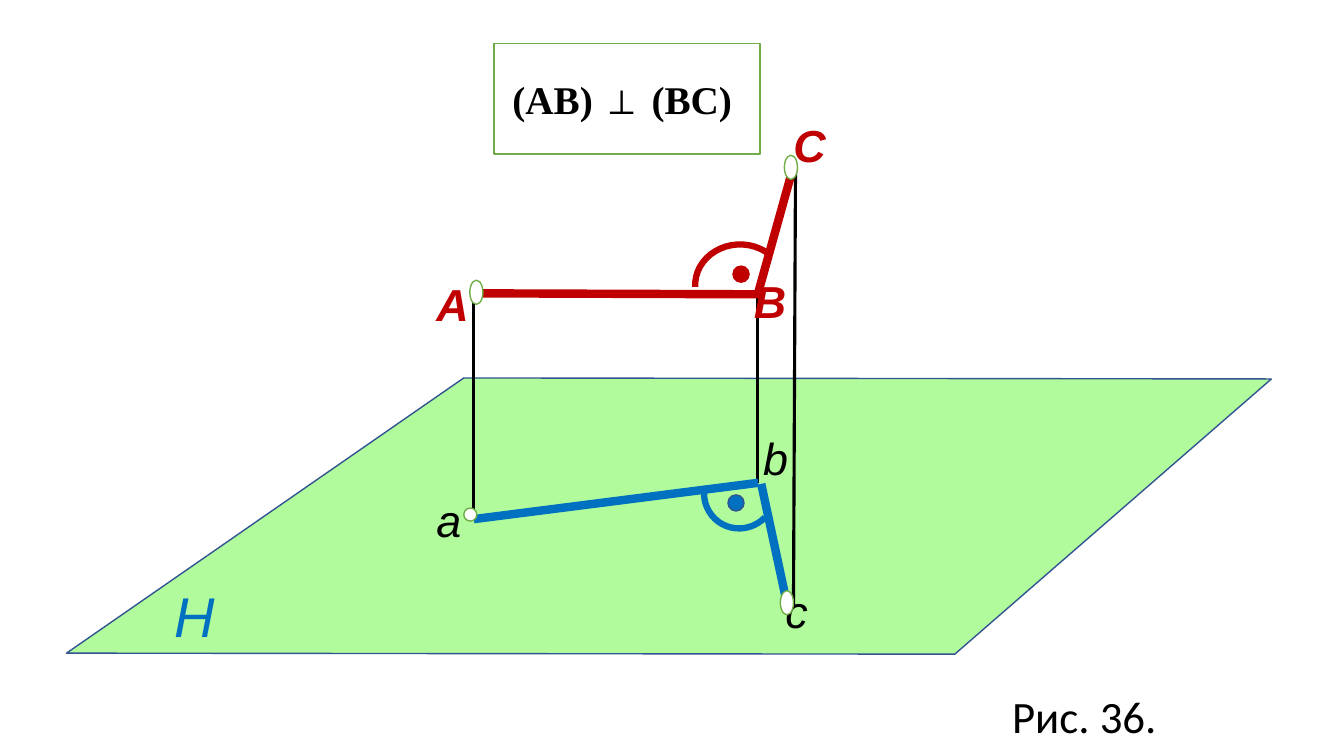
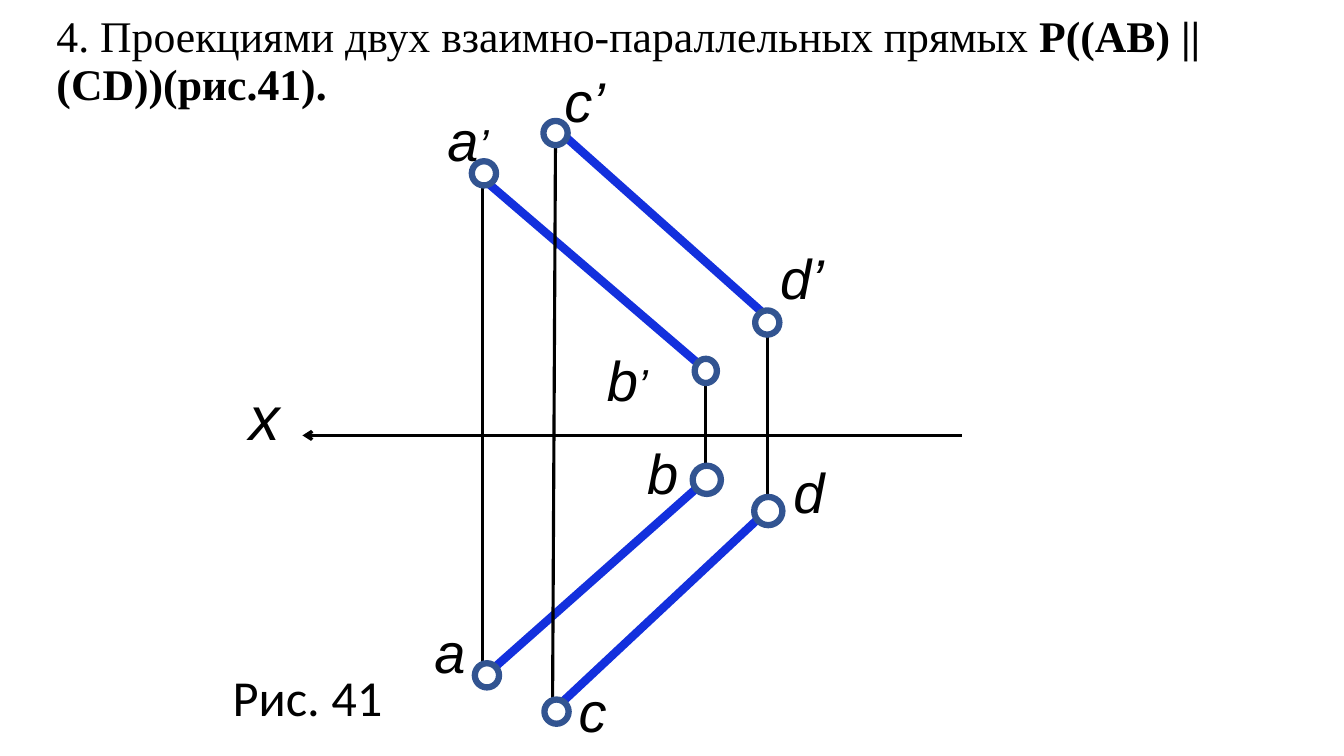
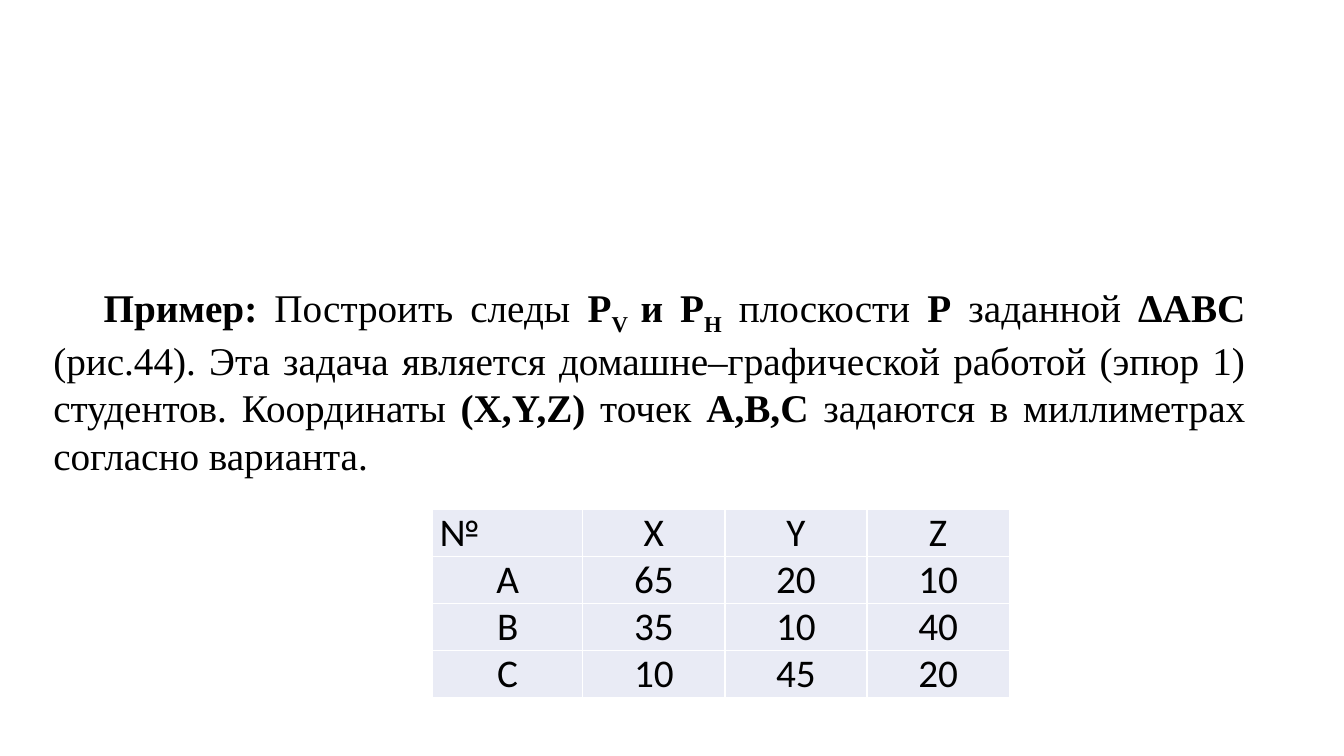
import pptx
import pptx.dml.color
import pptx.enum.shapes
import pptx.enum.text
import pptx.oxml
import pptx.oxml.ns
import pptx.util
from dataclasses import dataclass
from typing import Any

Inches = pptx.util.Inches
Pt = pptx.util.Pt
RGBColor = pptx.dml.color.RGBColor
SHAPE = pptx.enum.shapes.MSO_SHAPE
ALIGN = pptx.enum.text.PP_ALIGN
ANCHOR = pptx.enum.text.MSO_ANCHOR

BLACK = RGBColor(0x00, 0x00, 0x00)
WHITE = RGBColor(0xFF, 0xFF, 0xFF)
RED = RGBColor(0xC0, 0x00, 0x00)
BLUE = RGBColor(0x00, 0x70, 0xC0)
ROYAL = RGBColor(0x13, 0x30, 0xDD)
NAVY = RGBColor(0x32, 0x54, 0x91)
LEAF = RGBColor(0x70, 0xAD, 0x47)
MINT = RGBColor(0xB1, 0xFB, 0x9D)
PALE = RGBColor(0xE9, 0xEB, 0xF5)

SERIF = "Times New Roman"
SANS = "Calibri"
LETTER = "Arial"
THIN = 2.25
THICK = 6


def style_run(run, size, font, color=BLACK, bold=False, italic=False):
    """Apply size, face, colour and weight to a run."""
    run.font.size = Pt(size)
    run.font.name = font
    run.font.color.rgb = color
    run.font.bold = bold
    run.font.italic = italic


def add_runs(paragraph, parts, size):
    """Fill a serif paragraph with (text, bold, baseline) parts."""
    for text, bold, baseline in parts:
        run = paragraph.add_run()
        run.text = text
        style_run(run, size, SERIF, bold=bold)
        if baseline:
            run._r.get_or_add_rPr().set("baseline", str(baseline * 1000))


@dataclass
class Drawing:
    """A region of a slide whose parts are placed from its top left corner."""
    slide: Any
    left: float
    top: float

    def at(self, x, y):
        """Turn region inches into a slide position."""
        return Inches(self.left + x), Inches(self.top + y)

    def line(self, start, end, color=BLACK, width=THIN, arrow=False):
        """Draw a straight line, with an arrowhead at its start if asked."""
        connector = self.slide.shapes.add_connector(
            pptx.enum.shapes.MSO_CONNECTOR.STRAIGHT, *self.at(*start), *self.at(*end))
        connector.line.color.rgb = color
        connector.line.width = Pt(width)
        if arrow:
            head = pptx.oxml.parse_xml(
                f'<a:headEnd {pptx.oxml.ns.nsdecls("a")} type="arrow"/>')
            connector.line._get_or_add_ln().append(head)
        connector._element.spPr.append(
            pptx.oxml.parse_xml(f'<a:effectLst {pptx.oxml.ns.nsdecls("a")}/>'))

    def shape(self, kind, x, y, width, height, outline, weight=1, fill=WHITE):
        """Draw a preset shape, hollow when fill is None."""
        figure = self.slide.shapes.add_shape(
            kind, *self.at(x, y), Inches(width), Inches(height))
        return self.paint(figure, outline, weight, fill)

    def paint(self, figure, outline, weight, fill):
        """Set the fill and outline of a figure and drop its shadow."""
        figure.shadow.inherit = False
        if fill is None:
            figure.fill.background()
        else:
            figure.fill.solid()
            figure.fill.fore_color.rgb = fill
        figure.line.color.rgb = outline
        figure.line.width = Pt(weight)
        return figure

    def polygon(self, corners, outline, fill):
        """Draw a closed outline through the corners."""
        points = [self.at(*corner) for corner in corners]
        builder = self.slide.shapes.build_freeform(*points[0])
        builder.add_line_segments(points[1:], close=True)
        self.paint(builder.convert_to_shape(), outline, 1, fill)

    def arc(self, x, y, width, height, turn, sweep_end, color):
        """Draw an angle mark."""
        mark = self.shape(SHAPE.ARC, x, y, width, height, color, 4.5, None)
        mark.adjustments[0] = 162
        mark.adjustments[1] = sweep_end
        mark.rotation = turn

    def label(self, text, x, y, size, color=BLACK, font=LETTER,
              bold=False, italic=True, width=0.83, prime=""):
        """Write a point name or caption, with an optional smaller prime."""
        box = self.slide.shapes.add_textbox(
            *self.at(x, y), Inches(width), Inches(size / 50))
        box.text_frame.word_wrap = True
        paragraph = box.text_frame.paragraphs[0]
        paragraph.text = text
        style_run(paragraph.runs[0], size, font, color, bold, italic)
        if prime:
            run = paragraph.add_run()
            run.text = prime
            style_run(run, 32, font, color, bold, italic)

    def caption(self, text, x, y, size):
        """Write the figure number."""
        self.label(text, x, y, size, font=SANS, italic=False, width=2)


def draw_right_angle(slide, left, top):
    """Draw the right angle in space and its projection on plane H."""
    scene = Drawing(slide, left, top)
    scene.polygon([(4, 3.35), (12.01, 3.36), (8.87, 6.09), (0.06, 6.08)], NAVY, MINT)

    scene.label("A", 3.63, 2.3, 32, RED, bold=True)
    scene.label("H", 1.03, 5.32, 40, BLUE)
    scene.line((7.27, 5.61), (7.29, 1.3))
    scene.line((6.91, 4.39), (6.91, 2.51))
    scene.line((4.1, 4.75), (4.1, 2.49))
    scene.line((6.95, 2.52), (4.08, 2.51), RED, THICK)
    scene.line((7.27, 1.25), (6.91, 2.54), RED, THICK)

    for name, x, y in [("B", 6.78, 2.27), ("C", 7.17, 0.72)]:
        scene.label(name, x, y, 32, RED, bold=True)
    for name, x, y in [("a", 3.63, 4.44), ("b", 6.87, 3.82), ("c", 7.09, 5.34)]:
        scene.label(name, x, y, 32)

    scene.shape(SHAPE.OVAL, 6.67, 2.24, 0.16, 0.16, RED, fill=RED)
    scene.arc(6.34, 1.98, 0.79, 0.88, 266.7, 30.78, RED)
    scene.shape(SHAPE.OVAL, 6.62, 4.51, 0.16, 0.16, NAVY, fill=BLUE)
    scene.arc(6.38, 4.14, 0.71, 0.7, 134.1, 31.17, BLUE)
    scene.line((6.92, 4.39), (4.1, 4.75), BLUE, THICK)
    scene.line((7.21, 5.61), (6.95, 4.4), BLUE, THICK)

    formula = scene.shape(SHAPE.RECTANGLE, 4.3, 0.03, 2.64, 1.1, LEAF).text_frame
    formula.text = "(AB) ⊥ (BC) "
    formula.vertical_anchor = ANCHOR.MIDDLE
    formula.paragraphs[0].alignment = ALIGN.CENTER
    style_run(formula.paragraphs[0].runs[0], 28, SERIF, bold=True)

    for x, y, height in [(4, 4.64, 0.13), (7.14, 5.46, 0.24),
                         (7.18, 1.14, 0.24), (4.06, 2.38, 0.24)]:
        scene.shape(SHAPE.FLOWCHART_CONNECTOR, x, y, 0.13, height, LEAF)
    scene.caption("Рис. 36.", 9.34, 6.38, 32)


def write_title(slide, left, top, width, height):
    """Write the heading of the parallel lines slide."""
    title = slide.shapes.title
    title.left, title.top = Inches(left), Inches(top)
    title.width, title.height = Inches(width), Inches(height)
    frame = title.text_frame
    frame.auto_size = pptx.enum.text.MSO_AUTO_SIZE.NONE
    frame.word_wrap = True
    frame.vertical_anchor = ANCHOR.TOP
    heading = frame.paragraphs[0]
    heading.alignment = ALIGN.LEFT
    heading.line_spacing = 0.9
    add_runs(heading, [
        ("4. Проекциями двух взаимно-параллельных прямых ", False, 0),
        ("Р((АВ) || (СD))(рис.41).", True, 0)], 31.2)


def draw_parallel_lines(slide, left, top):
    """Draw the two projections of a pair of parallel lines."""
    epure = Drawing(slide, left, top)
    epure.line((0.8, 3.72), (7.34, 3.72), arrow=True)
    for start, end in [((3.34, 6.4), (5.37, 4.5)), ((3.31, 0.67), (5.44, 2.57)),
                       ((4.81, 3.08), (2.48, 1.08)), ((4.86, 4.11), (2.56, 6.15))]:
        epure.line(start, end, ROYAL, THICK)
    for start, end in [((2.59, 6.1), (2.59, 1.15)), ((3.28, 6.47), (3.31, 0.72)),
                       ((4.8, 4.15), (4.8, 3.05)), ((5.41, 4.54), (5.41, 2.57))]:
        epure.line(start, end)

    epure.label("x", 0.17, 3.11, 44)
    for name, x, y in [("a", 2.01, 5.48), ("b", 4.12, 3.7), ("c", 3.44, 6.06),
                       ("d", 5.57, 3.89), ("c’", 3.3, 0.01), ("d’", 5.44, 1.77)]:
        epure.label(name, x, y, 40)
    for name, x, y in [("a", 2.14, 0.4), ("b", 3.72, 2.78)]:
        epure.label(name, x, y, 40, prime="’")

    for x, y, width, height in [
            (2.48, 1, 0.24, 0.24), (2.51, 5.98, 0.24, 0.24),
            (3.2, 6.34, 0.24, 0.24), (3.19, 0.6, 0.24, 0.24),
            (4.67, 4.02, 0.28, 0.28), (5.28, 4.33, 0.28, 0.28),
            (4.69, 2.96, 0.22, 0.24), (5.29, 2.48, 0.24, 0.24)]:
        epure.shape(SHAPE.OVAL, x, y, width, height, NAVY, 4.5)
    epure.caption("Рис. 41", 0.01, 5.96, 36)


def write_task(slide, left, top, width, height):
    """Write the example task as a justified paragraph."""
    box = slide.shapes.add_textbox(
        Inches(left), Inches(top), Inches(width), Inches(height))
    box.text_frame.word_wrap = True
    task = box.text_frame.paragraphs[0]
    task.alignment = ALIGN.JUSTIFY
    task._p.get_or_add_pPr().set("indent", str(Inches(0.5)))
    add_runs(task, [
        ("Пример:", True, 0), (" Построить следы ", False, 0),
        ("P", True, 0), ("V ", True, -25), ("и P", True, 0), ("H", True, -25),
        (" плоскости ", False, 0), ("Р", True, 0), (" заданной ", False, 0),
        ("ΔABC", True, 0),
        (" (рис.44). Эта задача является домашне–графической работой (эпюр 1)"
         " студентов. Координаты ", False, 0),
        ("(X,Y,Z)", True, 0), (" точек ", False, 0), ("А,В,С", True, 0),
        (" задаются в миллиметрах согласно варианта.", False, 0)], 28)


def style_cell(cell):
    """Give a table cell white borders, a pale fill and narrow margins."""
    properties = cell._tc.get_or_add_tcPr()
    for side in ("lnL", "lnR", "lnT", "lnB"):
        properties.append(pptx.oxml.parse_xml(
            f'<a:{side} {pptx.oxml.ns.nsdecls("a")} w="{Pt(1)}"><a:solidFill>'
            f'<a:srgbClr val="{WHITE}"/></a:solidFill></a:{side}>'))
    cell.fill.solid()
    cell.fill.fore_color.rgb = PALE
    cell.margin_left = cell.margin_right = Inches(0.07)
    cell.margin_top = cell.margin_bottom = 0


def add_coordinates(slide, left, top, width, height):
    """Add the table of point coordinates."""
    rows = [("№", "X", "Y", "Z"), ("A", "65", "20", "10"),
            ("B", "35", "10", "40"), ("C", "10", "45", "20")]
    table = slide.shapes.add_table(
        len(rows), len(rows[0]), Inches(left), Inches(top),
        Inches(width), Inches(height)).table
    table.first_row = table.horz_banding = False
    for column, share in zip(table.columns, (1.49, 1.41, 1.41, 1.41)):
        column.width = Inches(width * share / 5.72)
    for r, values in enumerate(rows):
        for c, value in enumerate(values):
            cell = table.cell(r, c)
            style_cell(cell)
            cell.text_frame.text = value
            paragraph = cell.text_frame.paragraphs[0]
            paragraph.alignment = ALIGN.LEFT if value == "№" else ALIGN.CENTER
            style_run(paragraph.runs[0], 28, SANS)


def main():
    """Build the three slides and save them."""
    deck = pptx.Presentation()
    deck.slide_width, deck.slide_height = Inches(13.33), Inches(7.5)
    title_only, blank = deck.slide_layouts[5], deck.slide_layouts[6]

    draw_right_angle(deck.slides.add_slide(blank), 0.6, 0.4)

    parallel = deck.slides.add_slide(title_only)
    write_title(parallel, 0.46, 0.1, 12.27, 1.45)
    draw_parallel_lines(parallel, 2.2, 0.6)

    example = deck.slides.add_slide(blank)
    write_task(example, 0.43, 2.76, 12.02, 1.99)
    add_coordinates(example, 4.29, 5.05, 5.72, 1.87)

    deck.save("out.pptx")


if __name__ == "__main__":
    main()
